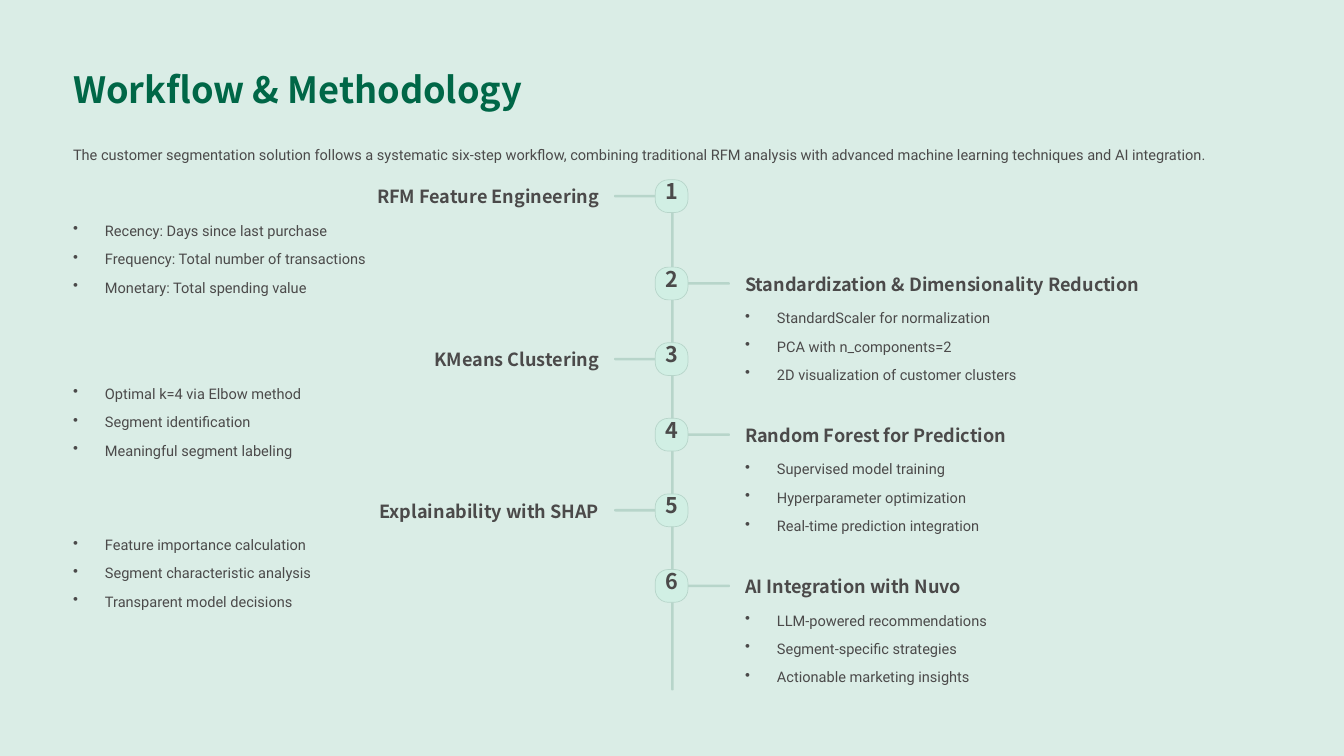
from dataclasses import dataclass

from lxml import etree
from pptx import Presentation
from pptx.dml.color import RGBColor
from pptx.enum import shapes, text
from pptx.oxml import ns
from pptx.util import Inches, Pt

HEADING_FONT, BODY_FONT = "Noto Sans CJK SC", "Roboto"
BACKGROUND, GREEN, GREY = "DAEDE6", "006747", "4B4A4A"
TRACK, BADGE = "B7D5CA", "D1EFE4"

LEFT_COLUMN, RIGHT_COLUMN, COLUMN_WIDTH = 0.87, 8.87, 6.26
FIRST_TOP, SECOND_TOP, STEP_PITCH = 2.14, 3.18, 0.9
BADGE_SIZE, BAR_THICKNESS = 0.39, 0.03
BULLET_INDENT = 0.38


@dataclass(frozen=True)
class Style:
    font: str
    size: float
    line: float
    color: str = GREY
    bold: bool = False
    align: text.PP_ALIGN = text.PP_ALIGN.LEFT
    bulleted: bool = False


@dataclass(frozen=True)
class Step:
    heading: str
    points: tuple[str, ...]


TITLE = Style(HEADING_FONT, 31, 39, GREEN, bold=True)
BODY = Style(BODY_FONT, 12.5, 20)
BULLET = Style(BODY_FONT, 12.5, 20, bulleted=True)
NUMBER = Style(HEADING_FONT, 18.5, 17.5, bold=True, align=text.PP_ALIGN.CENTER)
LEFT_HEADING = Style(HEADING_FONT, 15.5, 19.5, bold=True, align=text.PP_ALIGN.RIGHT)
RIGHT_HEADING = Style(HEADING_FONT, 15.5, 19.5, bold=True)

STEPS = (
    Step("RFM Feature Engineering",
         ("Recency: Days since last purchase",
          "Frequency: Total number of transactions",
          "Monetary: Total spending value")),
    Step("Standardization & Dimensionality Reduction",
         ("StandardScaler for normalization",
          "PCA with n_components=2",
          "2D visualization of customer clusters")),
    Step("KMeans Clustering",
         ("Optimal k=4 via Elbow method",
          "Segment identification",
          "Meaningful segment labeling")),
    Step("Random Forest for Prediction",
         ("Supervised model training",
          "Hyperparameter optimization",
          "Real-time prediction integration")),
    Step("Explainability with SHAP",
         ("Feature importance calculation",
          "Segment characteristic analysis",
          "Transparent model decisions")),
    Step("AI Integration with Nuvo",
         ("LLM-powered recommendations",
          "Segment-specific strategies",
          "Actionable marketing insights")),
)


def rgb(color: str) -> RGBColor:
    return RGBColor.from_string(color)


def add_bullet(paragraph) -> None:
    properties = paragraph._p.get_or_add_pPr()
    properties.set("marL", str(Inches(BULLET_INDENT)))
    properties.set("indent", str(-Inches(BULLET_INDENT)))
    etree.SubElement(properties, ns.qn("a:buChar")).set("char", "•")


def write(frame, lines: tuple[str, ...], style: Style) -> None:
    """Fill a text frame with one paragraph per line, without insets."""
    frame.margin_left = frame.margin_right = 0
    frame.margin_top = frame.margin_bottom = 0
    frame.vertical_anchor = text.MSO_ANCHOR.TOP
    for index, line in enumerate(lines):
        paragraph = frame.add_paragraph() if index else frame.paragraphs[0]
        paragraph.text = line
        if style.bulleted:
            add_bullet(paragraph)
        paragraph.alignment = style.align
        paragraph.line_spacing = Pt(style.line)
        if index:
            paragraph.space_before = Pt(4.3)
        font = paragraph.font
        font.name, font.size, font.bold = style.font, Pt(style.size), style.bold
        font.color.rgb = rgb(style.color)


def add_text(slide, left: float, top: float, width: float, height: float,
             lines: tuple[str, ...], style: Style) -> None:
    box = slide.shapes.add_textbox(*map(Inches, (left, top, width, height)))
    box.text_frame.word_wrap = True
    write(box.text_frame, lines, style)


def add_rounded(slide, left: float, top: float, width: float, height: float,
                fill: str, rounding: float):
    shape = slide.shapes.add_shape(shapes.MSO_SHAPE.ROUNDED_RECTANGLE,
                                   *map(Inches, (left, top, width, height)))
    shape.adjustments[0] = rounding
    shape.shadow.inherit = False
    shape.fill.solid()
    shape.fill.fore_color.rgb = rgb(fill)
    shape.line.fill.background()
    return shape


def add_badge(slide, top: float, number: int) -> None:
    badge = add_rounded(slide, 7.8, top, BADGE_SIZE, BADGE_SIZE, BADGE, 0.4)
    badge.line.color.rgb = rgb(TRACK)
    badge.line.width = Pt(0.6)
    badge.text_frame.word_wrap = False
    write(badge.text_frame, (str(number),), NUMBER)


def add_step(slide, number: int, step: Step) -> None:
    """Draw a step; odd numbers go left of the track, even ones right."""
    on_left = number % 2 == 1
    top = FIRST_TOP if number == 1 else SECOND_TOP + (number - 2) * STEP_PITCH
    column = LEFT_COLUMN if on_left else RIGHT_COLUMN
    add_rounded(slide, 7.31 if on_left else 8.17, top + 0.18,
                0.52, BAR_THICKNESS, TRACK, 0.5)
    add_badge(slide, top, number)
    add_text(slide, column, top + 0.06, COLUMN_WIDTH, 0.27, (step.heading,),
             LEFT_HEADING if on_left else RIGHT_HEADING)
    add_text(slide, column, top + 0.43, COLUMN_WIDTH, 0.95, step.points, BULLET)


def main() -> None:
    deck = Presentation()
    deck.slide_width, deck.slide_height = Inches(16), Inches(9)
    slide = deck.slides.add_slide(deck.slide_layouts[6])
    slide.background.fill.solid()
    slide.background.fill.fore_color.rgb = rgb(BACKGROUND)

    add_text(slide, LEFT_COLUMN, 0.78, 5.64, 0.54, ("Workflow & Methodology",), TITLE)
    add_text(slide, LEFT_COLUMN, 1.67, 14.26, 0.28,
             ("The customer segmentation solution follows a systematic six-step workflow, "
              "combining traditional RFM analysis with advanced machine learning techniques "
              "and AI integration.",), BODY)
    add_rounded(slide, 7.99, FIRST_TOP, BAR_THICKNESS, 6.08, TRACK, 0.5)
    for number, step in enumerate(STEPS, start=1):
        add_step(slide, number, step)
    deck.save("out.pptx")


if __name__ == "__main__":
    main()
